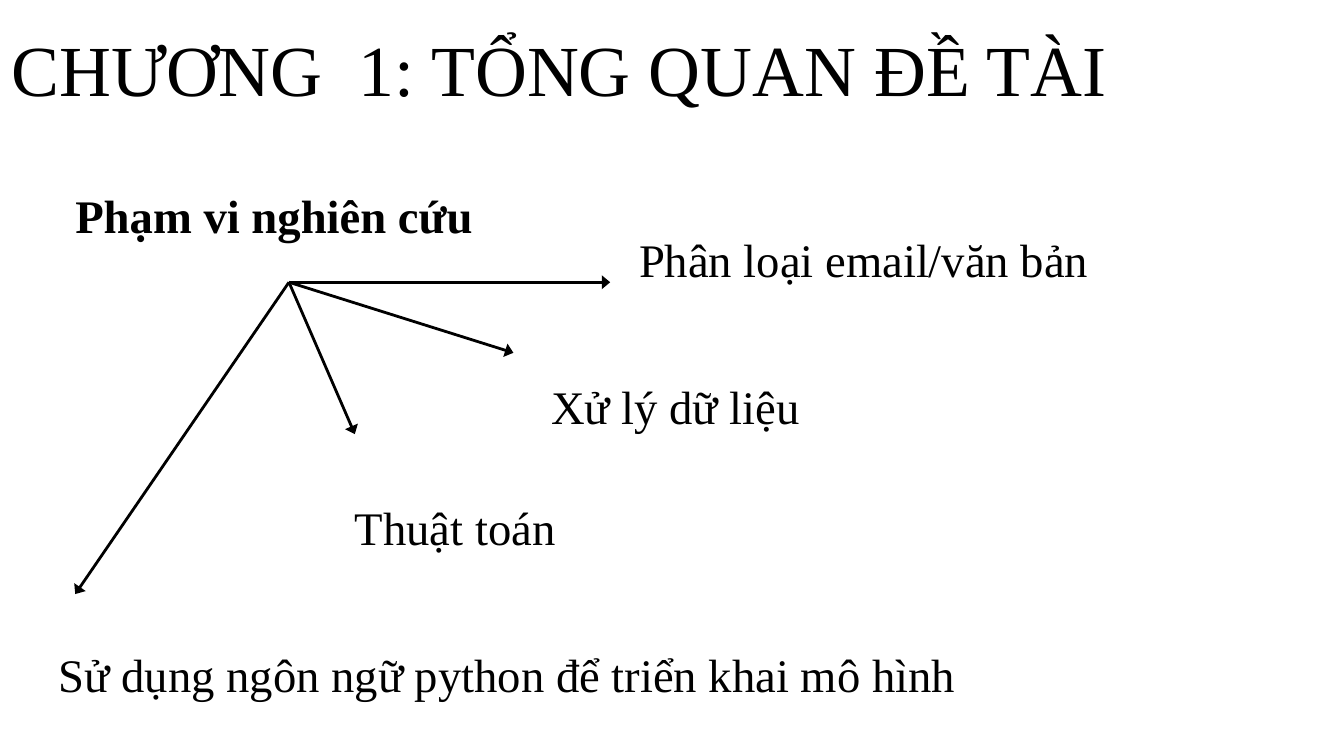
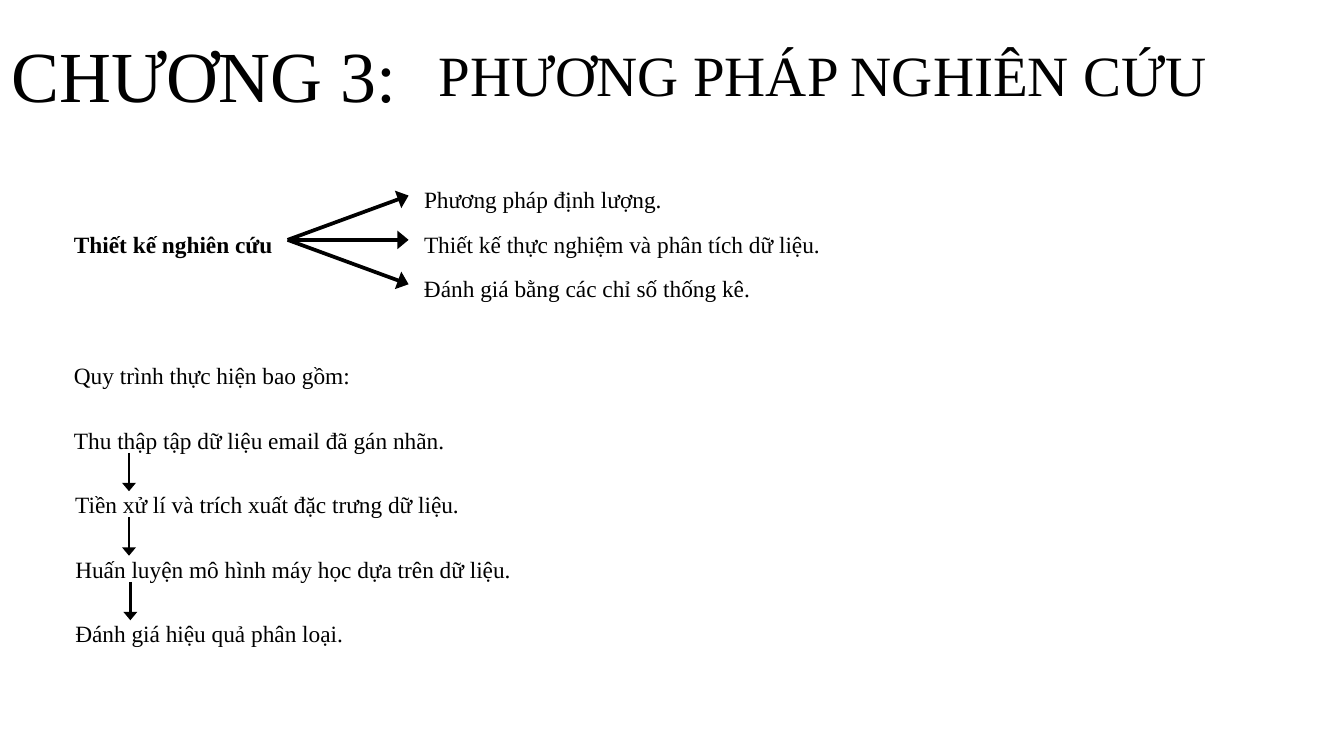
from dataclasses import dataclass
from lxml import etree
from pptx import Presentation
from pptx.dml.color import RGBColor
from pptx.enum import shapes, text
from pptx.oxml.ns import qn
from pptx.util import Inches, Pt


@dataclass(frozen=True)
class Theme:
    font: str = "Times New Roman"
    ink: RGBColor = RGBColor(0, 0, 0)
    # Each style: type size and exact line spacing, in points
    title: tuple = (77, 107.7)
    subtitle: tuple = (61, 85.4)
    large: tuple = (50, 90)
    small: tuple = (25, 45)


theme = Theme()


def write(sp, box, pieces, style, bold=False):
    """Place a shape and fill it with one left-aligned line, one run per piece."""
    sp.left, sp.top, sp.width, sp.height = map(Inches, box)
    tf = sp.text_frame
    frame_format = {
        "margin_left": 0, "margin_right": 0, "margin_top": 0, "margin_bottom": 0,
        "word_wrap": True, "vertical_anchor": text.MSO_ANCHOR.TOP,
        "auto_size": text.MSO_AUTO_SIZE.SHAPE_TO_FIT_TEXT,
    }
    for name, value in frame_format.items():
        setattr(tf, name, value)
    size, spacing = style
    p = tf.paragraphs[0]
    p.alignment = text.PP_ALIGN.LEFT
    p.line_spacing = Pt(spacing)
    p.space_before = Pt(0)
    for piece in pieces:
        r = p.add_run()
        r.text = piece
        for name, value in {"name": theme.font, "size": Pt(size), "bold": bold}.items():
            setattr(r.font, name, value)
        r.font.color.rgb = theme.ink
    return p


def add_arrow(s, start, end, width):
    arrow = s.shapes.add_connector(shapes.MSO_CONNECTOR.STRAIGHT,
                                   *map(Inches, (*start, *end)))
    arrow.line.color.rgb = theme.ink
    arrow.line.width = Pt(width)
    sp_pr = arrow.element.spPr
    etree.SubElement(sp_pr.find(qn("a:ln")), qn("a:tailEnd"),
                     type="triangle", w="lg", len="med")
    etree.SubElement(sp_pr, qn("a:effectLst"))


prs = Presentation()
prs.slide_width, prs.slide_height = Inches(20), Inches(11.25)
title_only = prs.slide_layouts[5]

# Slide 1: research scope, four arrows fanning out from one point
s = prs.slides.add_slide(title_only)
p = write(s.shapes.title, (0.17, 0.16, 17.81, 1.6),
          ["CHƯƠNG", " ", "1: TỔNG QUAN ĐỀ TÀI"], theme.title)
# Widen the gap after the chapter word (hundredths of a point)
p.runs[1]._r.get_or_add_rPr().set("spc", "1925")

scope_texts = [
    (1.12, 2.36, 7.62, "Phạm vi nghiên cứu", True),
    (9.51, 3.02, 8.47, "Phân loại email/văn bản", False),
    (8.2, 5.2, 4.72, "Xử lý dữ liệu", False),
    (5.28, 7.01, 4.72, "Thuật toán", False),
    (0.87, 9.19, 16.42, "Sử dụng ngôn ngữ python để triển khai mô hình", False),
]
for left, top, width, label, bold in scope_texts:
    sp = s.shapes.add_textbox(0, 0, 0, 0)
    write(sp, (left, top, width, 1.26), [label], theme.large, bold)
for tip in [(9.08, 4.2), (7.64, 5.25), (5.28, 6.46), (1.12, 8.84)]:
    add_arrow(s, (4.3, 4.2), tip, 3)

# Slide 2: research design and the steps of the process
s = prs.slides.add_slide(title_only)
write(s.shapes.title, (0.17, 0.24, 6.19, 1.52), ["CHƯƠNG 3:"], theme.title)
write(s.shapes.add_textbox(0, 0, 0, 0), (6.53, 0.42, 13.53, 1.2),
      ["PHƯƠNG PHÁP NGHIÊN CỨU"], theme.subtitle)

write(s.shapes.add_textbox(0, 0, 0, 0), (1.1, 3.21, 3.18, 0.56),
      ["Thiết kế nghiên cứu"], theme.small, bold=True)
methods = [
    ("Phương pháp định lượng.", 3.99),
    ("Thiết kế thực nghiệm và phân tích dữ liệu.", 6.59),
    ("Đánh giá bằng các chỉ số thống kê.", 5.4),
]
for i, (label, width) in enumerate(methods):
    top = 2.55 + 0.66 * i
    sp = s.shapes.add_textbox(0, 0, 0, 0)
    write(sp, (6.31, top, width, 0.56), [label], theme.small)
    add_arrow(s, (4.28, 3.57), (6.08, top + 0.36), 4)

steps = [
    ("Quy trình thực hiện bao gồm:", 1.1, 4.59),
    ("Thu thập tập dữ liệu email đã gán nhãn.", 1.1, 6.22),
    ("Tiền xử lí và trích xuất đặc trưng dữ liệu.", 1.12, 6.53),
    ("Huấn luyện mô hình máy học dựa trên dữ liệu.", 1.12, 7.22),
    ("Đánh giá hiệu quả phân loại.", 1.12, 4.59),
]
step_pitch = 0.96
for i, (label, left, width) in enumerate(steps):
    sp = s.shapes.add_textbox(0, 0, 0, 0)
    write(sp, (left, 5.17 + step_pitch * i, width, 0.61), [label], theme.small)
for i, x in enumerate([1.92, 1.92, 1.94]):
    top = 6.74 + step_pitch * i
    add_arrow(s, (x, top), (x, top + 0.57), 3)

prs.save("out.pptx")
